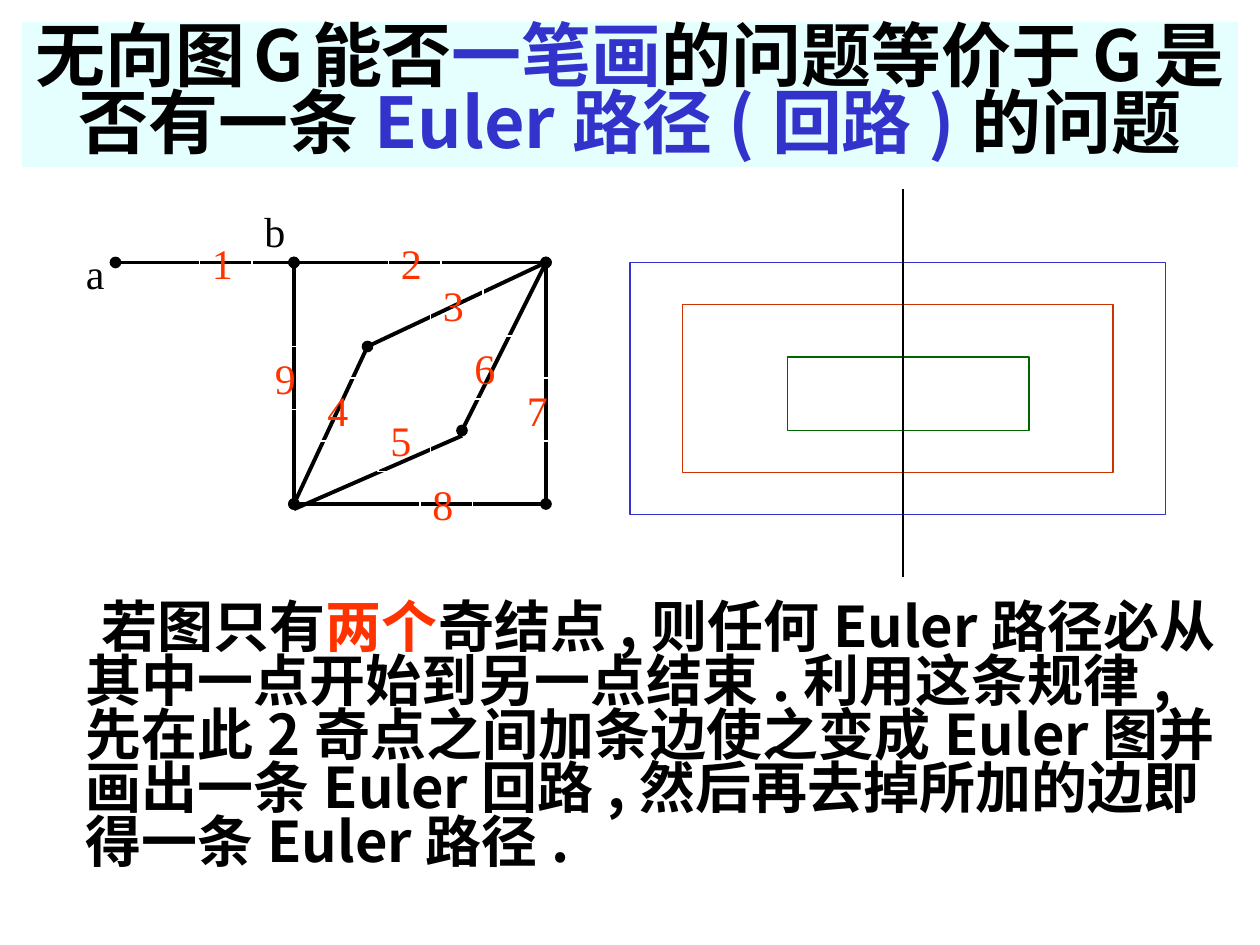
import dataclasses

import lxml.etree
import pptx
import pptx.dml.color
import pptx.enum.shapes
import pptx.enum.text
import pptx.oxml.ns
import pptx.util

PX_PER_INCH = 120


@dataclasses.dataclass(frozen=True)
class Theme:
    heading_font: str = "Noto Sans CJK SC"
    label_font: str = "Times New Roman"
    title_size: int = 40
    body_size: int = 32
    label_size: int = 24
    wide_gap: int = 14
    narrow_gap: int = 10
    edge_width: float = 2.25
    outline_width: float = 1
    border_width: float = 0.75
    black: str = "000000"
    white: str = "FFFFFF"
    blue: str = "3333CC"
    red: str = "FF3300"
    brick: str = "CC3300"
    green: str = "006600"
    pale_cyan: str = "CCFFFF"


THEME = Theme()

# Vertices of the graph
A, B, C = (110, 250), (280, 250), (520, 250)
D, E = (280, 480), (520, 480)
INNER_TOP, INNER_BOTTOM = (350, 330), (440, 410)

# Edges: start, end, dots at both ends
EDGES = [
    (B, C, True),
    (D, E, True),
    (D, B, False),
    (E, C, False),
    (INNER_TOP, D, True),
    ((440, 415), (280, 485), False),
    (C, INNER_BOTTOM, True),
    (INNER_TOP, C, False),
    (A, B, True),
]

VERTEX_LABELS = [("a", 70, 230, 50), ("b", 240, 190, 60)]

# Top left corners of the labels for edges 1 to 9
EDGE_LABELS = [(190, 220), (370, 220), (410, 260), (300, 360), (360, 389),
               (440, 320), (490, 360), (400, 450), (250, 330)]

NESTED_RECTANGLES = [
    (600, 250, 510, 240, THEME.blue),
    (650, 290, 410, 160, THEME.brick),
    (750, 340, 230, 70, THEME.green),
]

TITLE_RUNS = [
    ("无向图", THEME.title_size, THEME.black),
    (" ", THEME.narrow_gap, THEME.black),
    ("G", THEME.title_size, THEME.black),
    (" ", THEME.narrow_gap, THEME.black),
    ("能否", THEME.title_size, THEME.black),
    ("一笔画", THEME.title_size, THEME.blue),
    ("的问题等价于", THEME.title_size, THEME.black),
    (" ", THEME.wide_gap, THEME.black),
    ("G", THEME.title_size, THEME.black),
    (" ", THEME.wide_gap, THEME.black),
    ("是否有一条", THEME.title_size, THEME.black),
    ("Euler路径(回路)", THEME.title_size, THEME.blue),
    ("的问题", THEME.title_size, THEME.black),
]

BODY_RUNS = [
    ("若图只有", THEME.body_size, THEME.black),
    ("两个", THEME.body_size, THEME.red),
    ("奇结点,则任何Euler路径必从其中一点开始到另一点结束.利用这条规律,"
     "先在此2奇点之间加条边使之变成Euler图并画出一条Euler回路,"
     "然后再去掉所加的边即得一条Euler路径.", THEME.body_size, THEME.black),
]


def px(length):
    return pptx.util.Emu(length * pptx.util.Inches(1) // PX_PER_INCH)


def rgb(color):
    return pptx.dml.color.RGBColor.from_string(color)


def add_child(parent, tag, **attributes):
    return lxml.etree.SubElement(parent, pptx.oxml.ns.qn(tag), attributes)


def style_line(line, color, width):
    line.color.rgb = rgb(color)
    line.width = pptx.util.Pt(width)


def write_runs(paragraph, runs, font_name, bold=False):
    for text, size, color in runs:
        run = paragraph.add_run()
        run.text = text
        run.font.size = pptx.util.Pt(size)
        run.font.bold = bold
        run.font.color.rgb = rgb(color)
        run.font.name = font_name
        add_child(run.font._element, "a:ea", typeface=font_name)


def add_text(slide, left, top, width, height, runs, font_name, bold=False):
    shape = slide.shapes.add_textbox(px(left), px(top), px(width), px(height))
    shape.text_frame.word_wrap = True
    paragraph = shape.text_frame.paragraphs[0]
    write_runs(paragraph, runs, font_name, bold)
    return shape, paragraph


def add_title(slide):
    shape, paragraph = add_text(slide, 20, 20, 1160, 140, TITLE_RUNS,
                                THEME.heading_font, bold=True)
    shape.text_frame.vertical_anchor = pptx.enum.text.MSO_ANCHOR.MIDDLE
    paragraph.alignment = pptx.enum.text.PP_ALIGN.CENTER
    paragraph.line_spacing = 0.8
    shape.fill.solid()
    shape.fill.fore_color.rgb = rgb(THEME.pale_cyan)
    fill_color = shape._element.spPr.find(".//" + pptx.oxml.ns.qn("a:srgbClr"))
    add_child(fill_color, "a:alpha", val="50000")
    style_line(shape.line, THEME.white, THEME.border_width)


def add_body(slide):
    _, paragraph = add_text(slide, 25, 570, 1150, 300, BODY_RUNS,
                            THEME.heading_font, bold=True)
    paragraph.line_spacing = 0.8
    properties = paragraph._p.get_or_add_pPr()
    properties.set("marL", str(px(45)))
    properties.set("indent", str(px(15)))


def add_label(slide, text, left, top, width, color, bordered=False):
    shape, paragraph = add_text(slide, left, top, width, 60,
                                [(text, THEME.label_size, color)],
                                THEME.label_font)
    shape.text_frame.auto_size = pptx.enum.text.MSO_AUTO_SIZE.SHAPE_TO_FIT_TEXT
    paragraph.space_before = pptx.util.Pt(15)
    if bordered:
        style_line(shape.line, THEME.white, THEME.border_width)


def add_line(slide, start, end, width, dotted=False):
    connector = slide.shapes.add_connector(
        pptx.enum.shapes.MSO_CONNECTOR.STRAIGHT,
        *(px(value) for value in start + end))
    style_line(connector.line, THEME.black, width)
    if dotted:
        for tag in ("a:headEnd", "a:tailEnd"):
            add_child(connector.line._get_or_add_ln(), tag, type="oval")
    add_child(connector._element.spPr, "a:effectLst")


def add_rectangle(slide, left, top, width, height, color):
    shape = slide.shapes.add_shape(
        pptx.enum.shapes.MSO_SHAPE.RECTANGLE,
        px(left), px(top), px(width), px(height))
    shape.shadow.inherit = False
    shape.fill.solid()
    shape.fill.fore_color.rgb = rgb(THEME.white)
    style_line(shape.line, color, THEME.outline_width)


def main():
    presentation = pptx.Presentation()
    presentation.slide_width, presentation.slide_height = px(1200), px(900)
    slide = presentation.slides.add_slide(presentation.slide_layouts[6])

    add_title(slide)
    add_body(slide)

    # Graph with its numbered path
    for start, end, dotted in EDGES:
        add_line(slide, start, end, THEME.edge_width, dotted)
    for text, left, top, width in VERTEX_LABELS:
        add_label(slide, text, left, top, width, THEME.black)
    for number, (left, top) in enumerate(EDGE_LABELS, start=1):
        add_label(slide, str(number), left, top, 50, THEME.red, bordered=True)

    # Nested rectangles cut by a vertical line
    for rectangle in NESTED_RECTANGLES:
        add_rectangle(slide, *rectangle)
    add_line(slide, (860, 180), (860, 550), THEME.outline_width)

    presentation.save("out.pptx")


if __name__ == "__main__":
    main()
